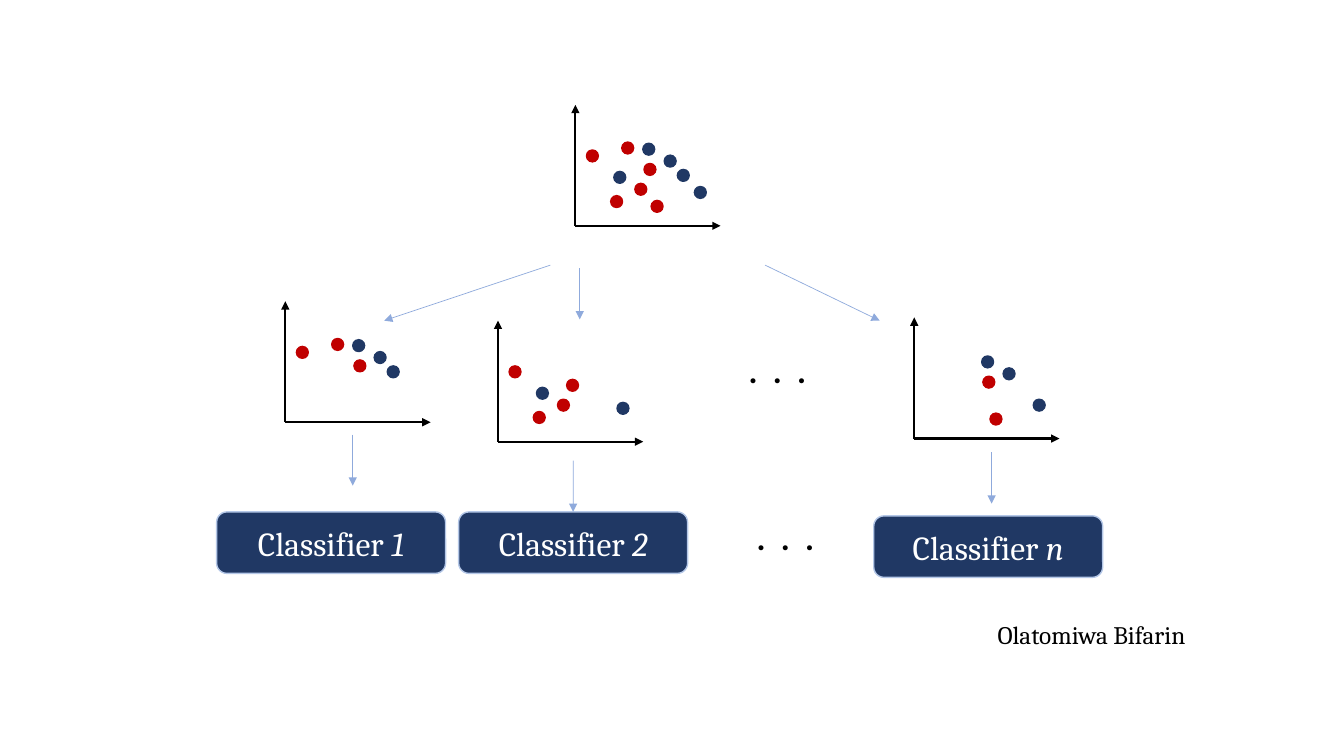
from lxml import etree
from pptx import Presentation
from pptx.dml.color import RGBColor
from pptx.enum import shapes, text
from pptx.oxml.ns import qn
from pptx.util import Cm, Pt

NAVY = RGBColor(0x20, 0x38, 0x64)
RED = RGBColor(0xC0, 0x00, 0x00)
SKY = RGBColor(0x8F, 0xAA, 0xDC)
PALE = RGBColor(0xB4, 0xC7, 0xE7)
BLACK = RGBColor(0x00, 0x00, 0x00)
WHITE = RGBColor(0xFF, 0xFF, 0xFF)

AXIS_UP, AXIS_RIGHT, DOT = 3.05, 3.66, 0.3
BOX_W, BOX_H = 5.77, 1.55
ARROW_LEN = 1.29


def add_arrow(parent, x1, y1, x2, y2, color, width):
    c = parent.add_connector(shapes.MSO_CONNECTOR.STRAIGHT, Cm(x1), Cm(y1), Cm(x2), Cm(y2))
    c.line.color.rgb = color
    c.line.width = Pt(width)
    etree.SubElement(c.line._get_or_add_ln(), qn("a:tailEnd"), type="triangle")
    etree.SubElement(c._element.spPr, qn("a:effectLst"))
    return c


def add_run(p, content, **fmt):
    r = p.add_run()
    r.text = content
    color = fmt.pop("color")
    for name, value in fmt.items():
        setattr(r.font, name, value)
    r.font.color.rgb = color


prs = Presentation()
prs.slide_width, prs.slide_height = Cm(33.87), Cm(19.05)
s = prs.slides.add_slide(prs.slide_layouts[6])

# Arrows from the full data set to its samples
for ends in [(13.87, 6.68, 9.68, 8.08), (19.28, 6.68, 22.17, 8.08), (14.61, 6.76, 14.61, 8.05)]:
    add_arrow(s.shapes, *ends, SKY, 0.5)

# Data points: offset from the plot origin (right, up) and class colour
points = {
    "a": (2.24, 1.78, NAVY),
    "b": (1.17, 2.11, RED),
    "c": (0.97, 1.37, NAVY),
    "d": (1.5, 1.07, RED),
    "e": (1.7, 2.08, NAVY),
    "f": (2.57, 1.42, NAVY),
    "g": (3, 0.99, NAVY),
    "h": (1.91, 0.64, RED),
    "i": (1.73, 1.57, RED),
    "j": (0.28, 1.91, RED),
    "k": (0.89, 0.76, RED),
}

# Scatter plots: origin and the points sampled
plots = [
    (14.5, 5.69, "abcdefghijk"),
    (7.19, 10.64, "abefij"),
    (12.55, 11.13, "cdgijk"),
    (23.04, 11.05, "aeghi"),
]
for x, y, sample in plots:
    plot = s.shapes.add_group_shape().shapes
    add_arrow(plot, x, y, x, y - AXIS_UP, BLACK, 1.5)
    add_arrow(plot, x, y, x + AXIS_RIGHT, y, BLACK, 1.5)
    for key in sample:
        right, up, color = points[key]
        dot = plot.add_shape(shapes.MSO_SHAPE.OVAL, Cm(x + right), Cm(y - up), Cm(DOT), Cm(DOT))
        dot.shadow.inherit = False
        dot.fill.solid()
        dot.fill.fore_color.rgb = color
        dot.line.color.rgb = color
        dot.line.width = Pt(1)

# Classifier boxes, each with the arrow leading to it
classifiers = [
    ("1", 5.46, 12.9, 8.89, 10.95),
    ("2", 11.56, 12.9, 11.56 + BOX_W / 2, 11.61),
    ("n", 22.02, 13, 24.99, 11.4),
]
for label, x, y, arrow_x, arrow_y in classifiers:
    box = s.shapes.add_shape(shapes.MSO_SHAPE.ROUNDED_RECTANGLE, Cm(x), Cm(y), Cm(BOX_W), Cm(BOX_H))
    box.shadow.inherit = False
    box.fill.solid()
    box.fill.fore_color.rgb = NAVY
    box.line.color.rgb = PALE
    box.line.width = Pt(1)
    tf = box.text_frame
    tf.vertical_anchor = text.MSO_ANCHOR.MIDDLE
    p = tf.paragraphs[0]
    p.alignment = text.PP_ALIGN.CENTER
    for content, italic in [("Classifier ", False), (label, True)]:
        add_run(p, content, name="Cambria", size=Pt(24), italic=italic, color=WHITE)
    arrow = add_arrow(s.shapes, arrow_x, arrow_y, arrow_x, arrow_y + ARROW_LEN, SKY, 0.5)
    if label == "2":
        arrow.end_connect(box, 0)

# Ellipses between the columns, and the author
captions = [
    (".  .  .", 18.62, 8.69, 1.96, 1.27, "Calibri", 24, True),
    (".  .  .", 18.82, 12.9, 1.96, 1.27, "Calibri", 24, True),
    ("Olatomiwa Bifarin", 24.89, 15.49, 5.66, 1.02, "Cambria", 18, False),
]
for content, x, y, w, h, font, size, bold in captions:
    tf = s.shapes.add_textbox(Cm(x), Cm(y), Cm(w), Cm(h)).text_frame
    tf.word_wrap = False
    tf.auto_size = text.MSO_AUTO_SIZE.SHAPE_TO_FIT_TEXT
    add_run(tf.paragraphs[0], content, name=font, size=Pt(size), bold=bold, color=BLACK)

prs.save("out.pptx")
